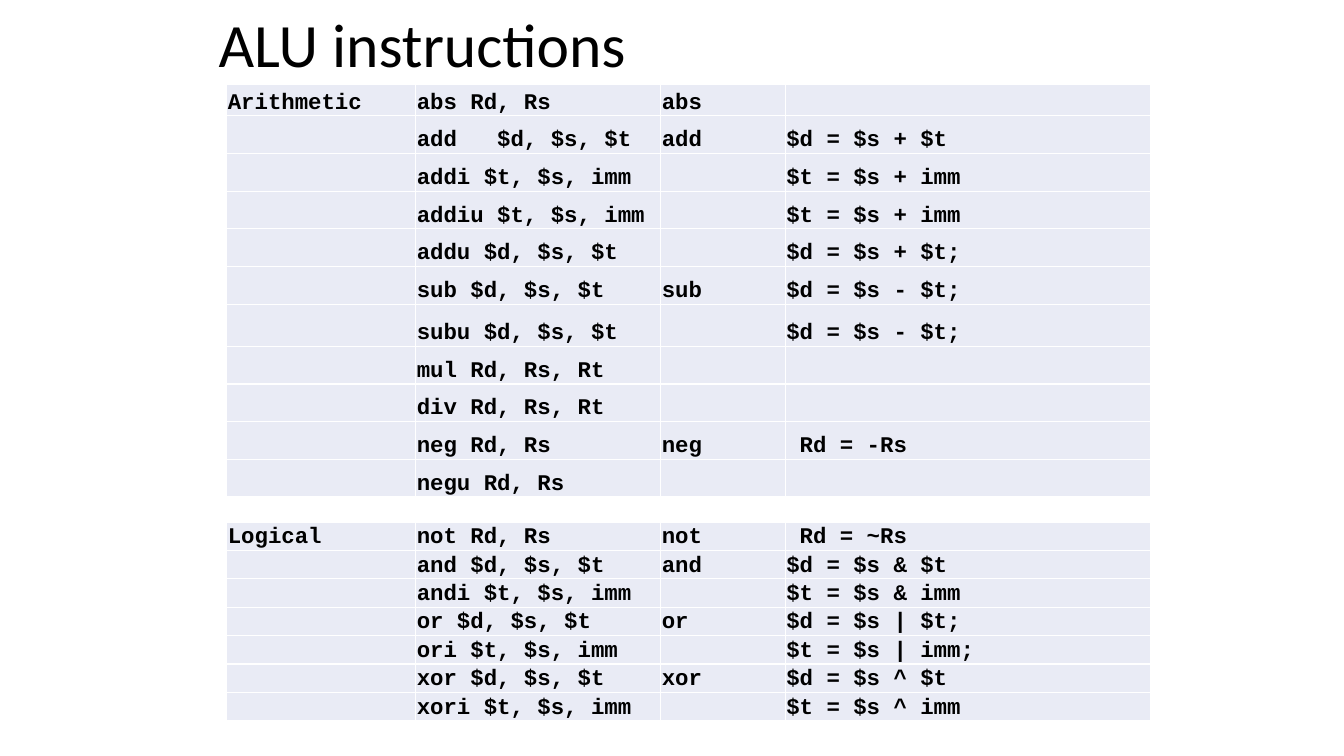
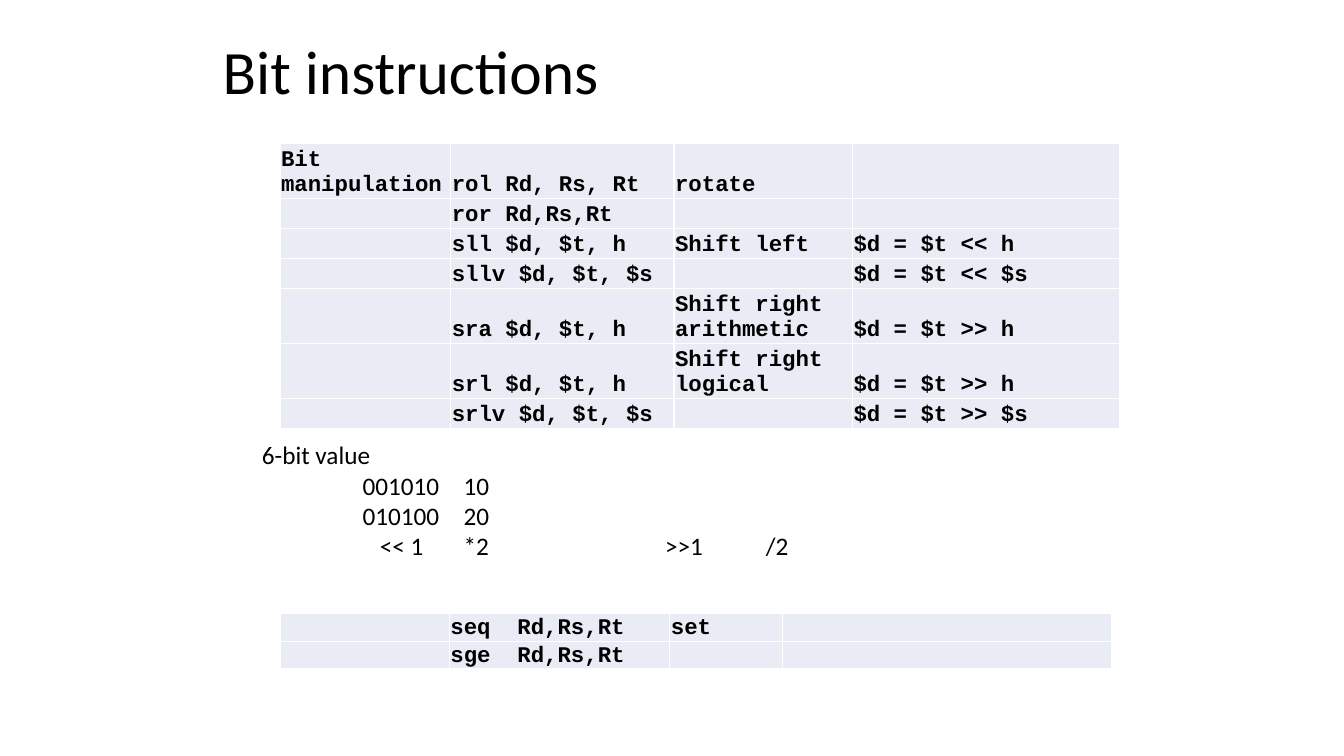
"""Build two slides that list ALU and bit instructions in tables."""
from pptx import Presentation
from pptx.dml.color import RGBColor
from pptx.enum.text import MSO_ANCHOR as ANCHOR
from pptx.oxml.xmlchemy import OxmlElement
from pptx.util import Pt

BLACK = RGBColor(0x00, 0x00, 0x00)
CELL_FILL = RGBColor(0xE9, 0xEB, 0xF5)
BODY_FONT = "Calibri"
CODE_FONT = "Courier New"
BOX_WIDTH = 686


def add_lines(slide, left, top, height, size, lines, anchor=ANCHOR.TOP):
    """Add a text box of (text, tab stops) lines."""
    frame = slide.shapes.add_textbox(Pt(left), Pt(top), Pt(BOX_WIDTH), Pt(height)).text_frame
    frame.word_wrap = True
    frame.vertical_anchor = anchor
    for index, (text, stops) in enumerate(lines):
        line = frame.add_paragraph() if index else frame.paragraphs[0]
        if stops:
            tab_list = OxmlElement("a:tabLst")
            for stop in stops:
                tab = OxmlElement("a:tab")
                tab.set("pos", str(Pt(stop)))
                tab.set("algn", "l")
                tab_list.append(tab)
            line._p.get_or_add_pPr().append(tab_list)
        run = line.add_run()
        run.text = text
        run.font.name = BODY_FONT
        run.font.size = Pt(size)
        run.font.color.rgb = BLACK


def add_instructions(slide, left, top, widths, heights, rows):
    """Add a table of instructions, one tuple of cell texts a row."""
    table = slide.shapes.add_table(
        len(rows), len(widths), Pt(left), Pt(top), Pt(sum(widths)), Pt(sum(heights))
    ).table
    table.first_row = False
    table.horz_banding = False
    for column, width in zip(table.columns, widths):
        column.width = Pt(width)
    for row, height, texts in zip(table.rows, heights, rows):
        row.height = Pt(height)
        for cell, text in zip(row.cells, texts):
            cell.fill.solid()
            cell.fill.fore_color.rgb = CELL_FILL
            cell.vertical_anchor = ANCHOR.BOTTOM
            cell.margin_left = cell.margin_right = cell.margin_top = Pt(0.75)
            cell.margin_bottom = Pt(0)
            line = cell.text_frame.paragraphs[0]
            line.font.size = Pt(16)
            if text:
                run = line.add_run()
                run.text = text
                run.font.name = CODE_FONT
                run.font.size = Pt(16)
                run.font.bold = True
                run.font.color.rgb = BLACK


arithmetic = [
    ("Arithmetic", "abs Rd, Rs", "abs", ""),
    ("", "add   $d, $s, $t", "add", "$d = $s + $t"),
    ("", "addi $t, $s, imm", "", "$t = $s + imm"),
    ("", "addiu $t, $s, imm", "", "$t = $s + imm"),
    ("", "addu $d, $s, $t", "", "$d = $s + $t;"),
    ("", "sub $d, $s, $t", "sub", "$d = $s - $t;"),
    ("", "subu $d, $s, $t", "", "$d = $s - $t;"),
    ("", "mul Rd, Rs, Rt", "", ""),
    ("", "div Rd, Rs, Rt", "", ""),
    ("", "neg Rd, Rs", "neg", " Rd = -Rs"),
    ("", "negu Rd, Rs", "", ""),
]
logical = [
    ("Logical", "not Rd, Rs", "not", " Rd = ~Rs"),
    ("", "and $d, $s, $t", "and", "$d = $s & $t"),
    ("", "andi $t, $s, imm", "", "$t = $s & imm"),
    ("", "or $d, $s, $t", "or", "$d = $s | $t;"),
    ("", "ori $t, $s, imm", "", "$t = $s | imm;"),
    ("", "xor $d, $s, $t", "xor", "$d = $s ^ $t"),
    ("", "xori $t, $s, imm", "", "$t = $s ^ imm"),
]
bit_manipulation = [
    ("Bit manipulation", "rol Rd, Rs, Rt", "rotate", ""),
    ("", "ror Rd,Rs,Rt", "", ""),
    ("", "sll $d, $t, h", "Shift left", "$d = $t << h"),
    ("", "sllv $d, $t, $s", "", "$d = $t << $s"),
    ("", "sra $d, $t, h", "Shift right arithmetic", "$d = $t >> h"),
    ("", "srl $d, $t, h", "Shift right logical", "$d = $t >> h"),
    ("", "srlv $d, $t, $s", "", "$d = $t >> $s"),
]
comparison = [
    ("", "seq  Rd,Rs,Rt", "set", ""),
    ("", "sge  Rd,Rs,Rt", "", ""),
]
shift_example = [
    ("6-bit value", ()),
    ("\t001010\t10", (72, 144)),
    ("\t010100\t20", (72, 144)),
    ("\t<< 1\t*2\t>>1\t/2", (84.2, 144, 288, 360)),
]

deck = Presentation()
deck.slide_width = Pt(960)
deck.slide_height = Pt(540)
blank = deck.slide_layouts[6]

alu = deck.slides.add_slide(blank)
alu_widths = [135, 175, 89, 261]
add_instructions(alu, 162, 60, alu_widths, [22.7] + [26.94] * 5 + [30] + [26.94] * 4, arithmetic)
add_instructions(alu, 162, 373, alu_widths, [20.06] * 7, logical)
add_lines(alu, 149, 0, 61, 44, [("ALU instructions", ())], ANCHOR.MIDDLE)

bits = deck.slides.add_slide(blank)
bit_heights = [39 if any(" " in text and len(text) > 15 for text in row) else 21.5
               for row in bit_manipulation]
add_instructions(bits, 200, 102.5, [122, 159.5, 127.5, 191], bit_heights, bit_manipulation)
add_instructions(bits, 200, 438, [121, 157.5, 80.5, 235], [19.8] * 2, comparison)
add_lines(bits, 152, 19.5, 61, 44, [("Bit instructions", ())], ANCHOR.MIDDLE)
add_lines(bits, 180, 310.5, 127, 18, shift_example)

deck.save("out.pptx")
